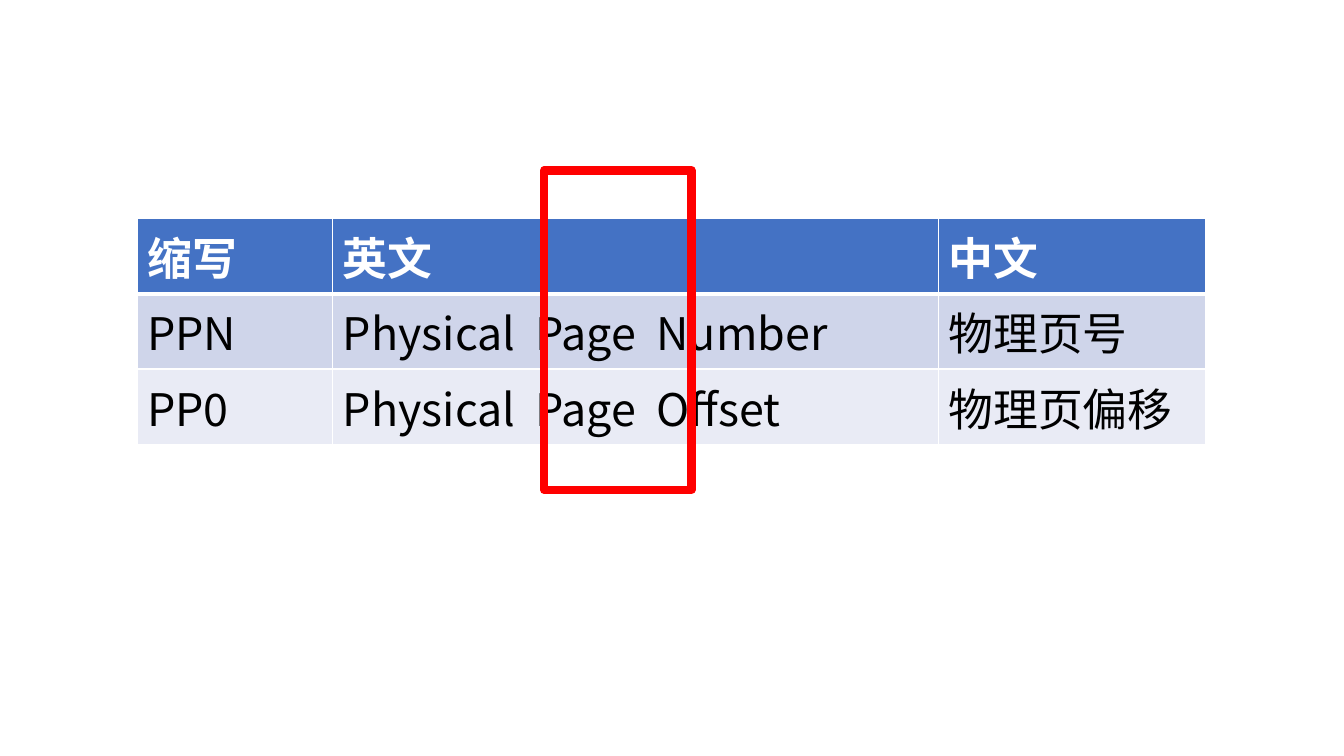
from pptx import Presentation
from pptx.dml.color import RGBColor
from pptx.enum.shapes import MSO_SHAPE
from pptx.oxml import parse_xml
from pptx.oxml.ns import nsdecls, qn
from pptx.util import Pt

ROWS = [
    ("缩写", "英文", "中文"),
    ("PPN", "Physical  Page  Number", "物理页号"),
    ("PP0", "Physical  Page  Offset", "物理页偏移"),
]
COLORS = {"head": "4472C4", "odd": "CFD5EA", "even": "E9EBF5",
          "white": "FFFFFF", "black": "000000", "red": "FF0000"}
FONT = "Noto Sans CJK SC"
LEFT, TOP = 98, 156.25
WIDTHS = (139.7, 432.7, 190.8)
HEIGHT = 53.5
FRAME = (388.8, 121.7, 105.1, 228.2)


def rgb(name):
    return RGBColor.from_string(COLORS[name])


def write(frame, text, size=32, color="black", bold=False):
    run = frame.paragraphs[0].add_run()
    run.text = text
    font = run.font
    font.size, font.bold, font.name = Pt(size), bold, FONT
    font.color.rgb = rgb(color)
    east = parse_xml(f'<a:ea {nsdecls("a")} typeface="{FONT}"/>')
    run._r.rPr.find(qn("a:latin")).addnext(east)


def border(cell, **widths):
    for side, width in widths.items():
        cell._tc.get_or_add_tcPr().append(parse_xml(
            f'<a:ln{side} {nsdecls("a")} w="{Pt(width)}"><a:solidFill>'
            f'<a:srgbClr val="{COLORS["white"]}"/></a:solidFill></a:ln{side}>'))


def main():
    deck = Presentation()
    deck.slide_width, deck.slide_height = Pt(960), Pt(540)
    slide = deck.slides.add_slide(deck.slide_layouts[6])

    table = slide.shapes.add_table(
        len(ROWS), len(WIDTHS), Pt(LEFT), Pt(TOP),
        Pt(sum(WIDTHS)), Pt(HEIGHT * len(ROWS))).table
    for col, width in zip(table.columns, WIDTHS):
        col.width = Pt(width)
    for i, row in enumerate(ROWS):
        head = i == 0
        fill = "head" if head else "odd" if i % 2 else "even"
        for j, text in enumerate(row):
            cell = table.cell(i, j)
            border(cell, L=1, R=1, T=3 if i == 1 else 1, B=3 if head else 1)
            cell.fill.solid()
            cell.fill.fore_color.rgb = rgb(fill)
            write(cell.text_frame, text, bold=head,
                  color="white" if head else "black")

    frame = slide.shapes.add_shape(MSO_SHAPE.RECTANGLE, *map(Pt, FRAME))
    frame.shadow.inherit = False
    frame.fill.background()
    frame.line.color.rgb = rgb("red")
    frame.line.width = Pt(6)
    deck.save("out.pptx")


if __name__ == "__main__":
    main()
